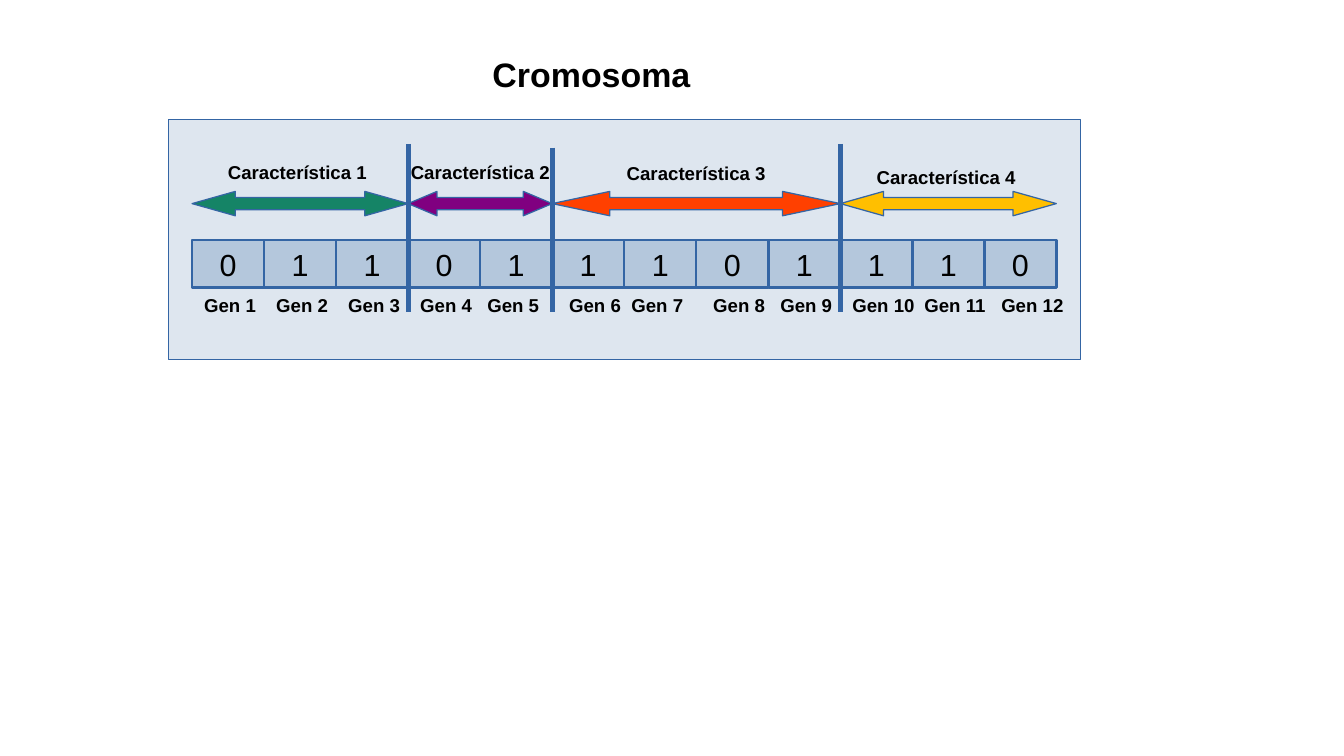
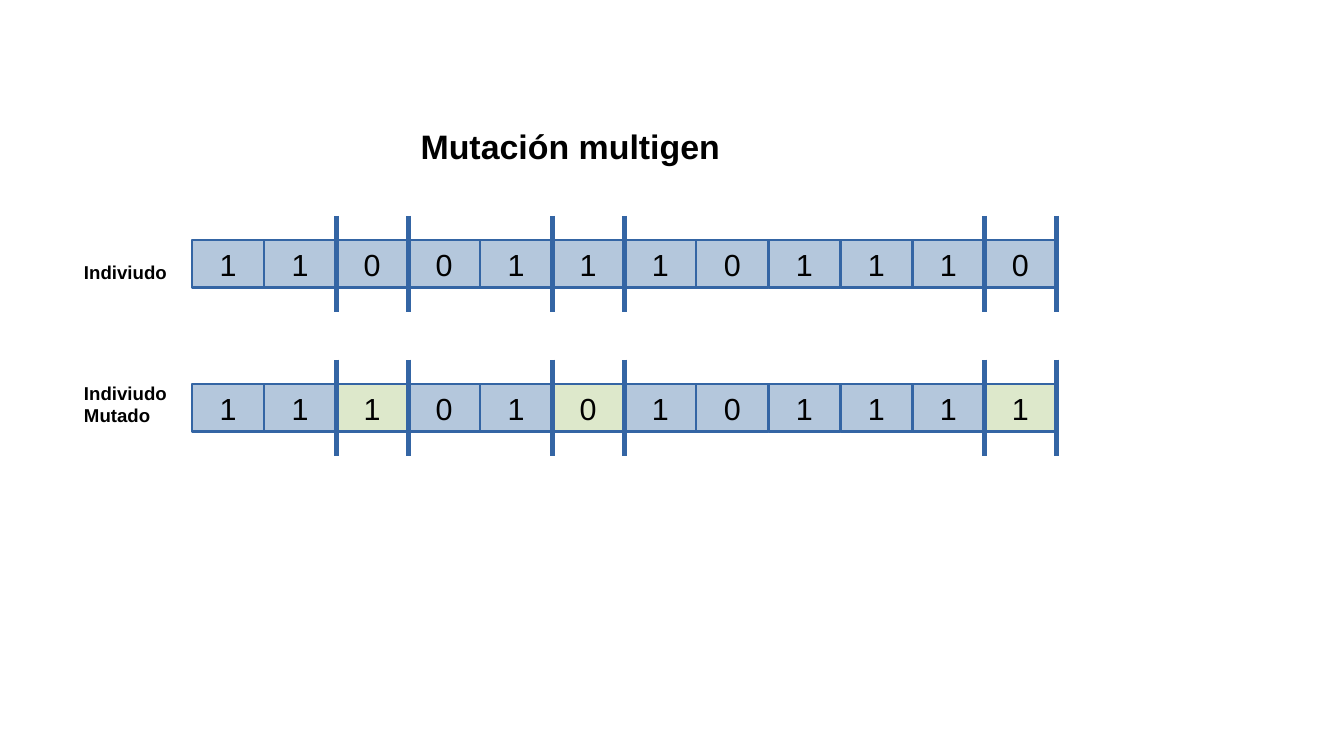
import pptx
import pptx.dml.color
import pptx.enum.shapes
import pptx.enum.text
import pptx.oxml.ns
import pptx.util
import lxml.etree

Inches = pptx.util.Inches
SHAPES = pptx.enum.shapes.MSO_SHAPE

COLORS = {
    "line": "3465A4", "text": "000000", "panel": "DEE6EF",
    "gene": "B4C7DC", "mutated": "DDE8CB",
    "green": "158466", "purple": "800080", "orange": "FF4000", "yellow": "FFBF00",
}
FONT = "Arial"
GENES_LEFT, GENES_WIDTH, GENE_COUNT = 1.575, 7.087, 12
GENE_WIDTH = GENES_WIDTH / GENE_COUNT
GENE_HEIGHT = 0.39
GENES_TOP = 1.97
DIVIDER_OVERHANG = 0.2
edges = [GENES_LEFT + column * GENE_WIDTH for column in range(GENE_COUNT + 1)]


def rgb(name):
    return pptx.dml.color.RGBColor.from_string(COLORS[name])


def add_box(slide, left, top, width, height, text="", shape_type=None, fill=None,
            line_width=0, size=11, bold=True):
    """Add a plain text box, or a filled shape with centred text if shape_type is given."""
    place = [Inches(value) for value in (left, top, width, height)]
    if shape_type is None:
        shape = slide.shapes.add_textbox(*place)
    else:
        shape = slide.shapes.add_shape(shape_type, *place)
        shape.shadow.inherit = False
        shape.fill.solid()
        shape.fill.fore_color.rgb = rgb(fill)
        shape.line.color.rgb = rgb("line")
        shape.line.width = pptx.util.Pt(line_width)
    if text:
        frame = shape.text_frame
        frame.word_wrap = True
        frame.text = text
        for paragraph in frame.paragraphs:
            if shape_type is not None:
                paragraph.alignment = pptx.enum.text.PP_ALIGN.CENTER
            font = paragraph.runs[0].font
            font.name = FONT
            font.size = pptx.util.Pt(size)
            font.bold = bold
            font.color.rgb = rgb("text")
    return shape


presentation = pptx.Presentation()
presentation.slide_width = Inches(11.02)
presentation.slide_height = Inches(6.2)
blank_layout = presentation.slide_layouts[6]
chromosome_slide = presentation.slides.add_slide(blank_layout)
mutation_slide = presentation.slides.add_slide(blank_layout)

# Titles
for slide, title, left, top, width in [
    (chromosome_slide, "Cromosoma", 3.94, 0.39, 1.97),
    (mutation_slide, "Mutación multigen", 3.35, 0.98, 2.76),
]:
    add_box(slide, left, top, width, 0.41, title, size=20)

# Background panel of the chromosome
add_box(chromosome_slide, 1.38, 0.98, 7.48, 1.97, shape_type=SHAPES.RECTANGLE, fill="panel")

# Gene rows: mutated genes differ from the individual's genes
individual = "110011101110"
mutant = "111010101111"
mutated_columns = [column for column in range(GENE_COUNT)
                   if individual[column] != mutant[column]]
mutant_top = 3.15
for slide, top, genes, highlighted in [
    (chromosome_slide, GENES_TOP, "011011101110", []),
    (mutation_slide, GENES_TOP, individual, []),
    (mutation_slide, mutant_top, mutant, mutated_columns),
]:
    for column, gene in enumerate(genes):
        add_box(slide, edges[column], top, GENE_WIDTH, GENE_HEIGHT, gene,
                shape_type=SHAPES.RECTANGLE,
                fill="mutated" if column in highlighted else "gene",
                line_width=1.5, size=18, bold=False)

# Characteristic arrows: first gene, gene after the last, colour
arrow_height = 0.2
for first, end, color in [(0, 3, "green"), (3, 5, "purple"), (5, 9, "orange"), (9, 12, "yellow")]:
    width = edges[end] - edges[first]
    arrow = add_box(chromosome_slide, edges[first], 1.57, width, arrow_height,
                    shape_type=SHAPES.LEFT_RIGHT_ARROW, fill=color)
    arrow.adjustments[0] = 0.5
    arrow.adjustments[1] = 0.2 * width / arrow_height

# Vertical dividers: slide, column edge, top, bottom
row_bottom = GENES_TOP + GENE_HEIGHT + DIVIDER_OVERHANG
dividers = [(chromosome_slide, edge, top, row_bottom)
            for edge, top in [(5, 1.21), (3, 1.18), (9, 1.18)]]
for top in (GENES_TOP, mutant_top):
    for column in mutated_columns:
        for edge in (column, column + 1):
            dividers.append((mutation_slide, edge, top - DIVIDER_OVERHANG,
                             top + GENE_HEIGHT + DIVIDER_OVERHANG))
for slide, edge, top, bottom in dividers:
    divider = slide.shapes.add_connector(
        pptx.enum.shapes.MSO_CONNECTOR.STRAIGHT,
        Inches(edges[edge]), Inches(top), Inches(edges[edge]), Inches(bottom))
    divider.line.color.rgb = rgb("line")
    divider.line.width = pptx.util.Pt(3)
    lxml.etree.SubElement(divider._element.spPr, pptx.oxml.ns.qn("a:effectLst"))

# Characteristic labels
for number, (left, top) in enumerate([(1.77, 1.27), (3.27, 1.27), (5.04, 1.28), (7.09, 1.31)], 1):
    add_box(chromosome_slide, left, top, 1.57, 0.27, f"Característica {number}")

# Gene labels, some nudged sideways from their cell
nudges = {5: -0.04, 6: 0.04, 7: -0.04, 8: 0.04, 12: 0.04}
for number in range(1, GENE_COUNT + 1):
    add_box(chromosome_slide, edges[number - 1] + nudges.get(number, 0), 2.36, 0.79, 0.27,
            f"Gen {number}")

# Row labels
for label, top in [("Indiviudo", 2.09), ("Indiviudo\nMutado", 3.08)]:
    add_box(mutation_slide, 0.59, top, 0.98, 0.27, label)

presentation.save("out.pptx")
